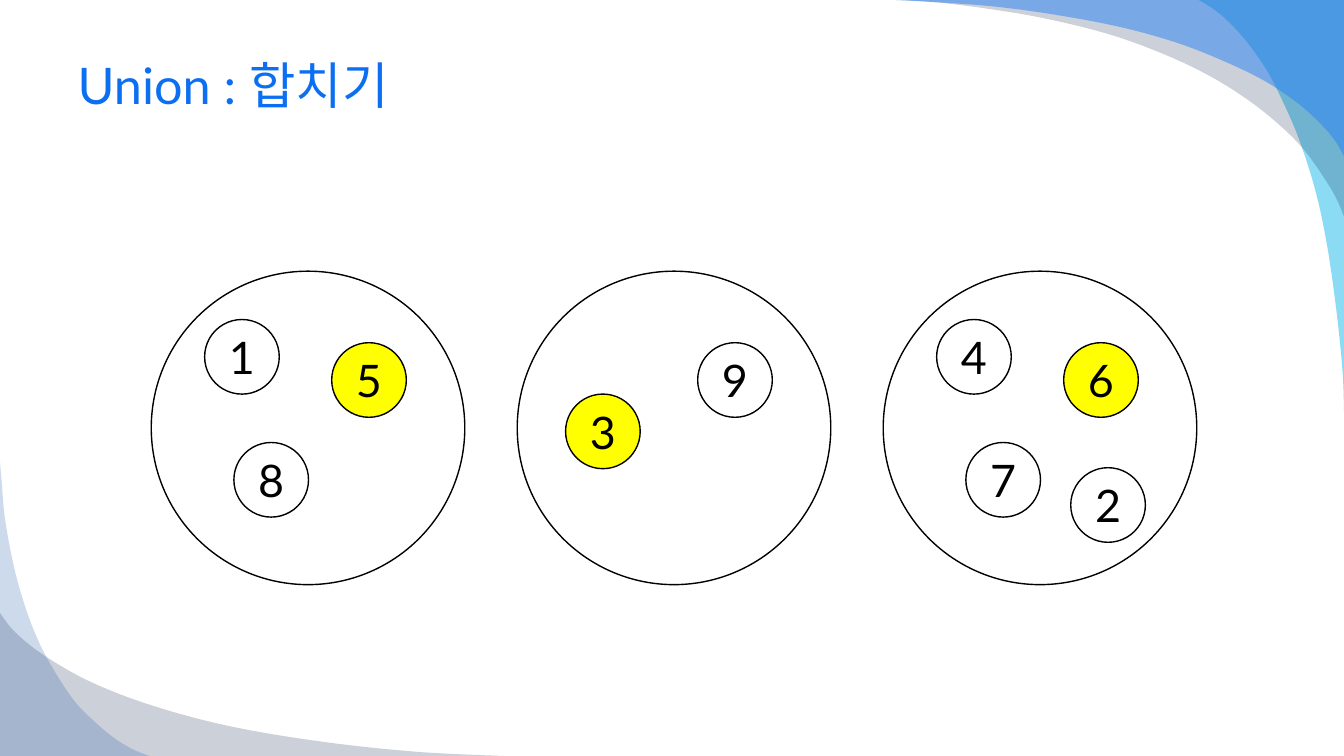
from lxml import etree
from pptx import Presentation
from pptx.dml.color import RGBColor
from pptx.enum import shapes, text
from pptx.oxml import ns
from pptx.util import Inches, Pt

TITLE = "Union : 합치기"
SLOTS = {
    "upper left": (0.53, 0.48),
    "upper right": (1.79, 0.71),
    "middle left": (0.48, 1.22),
    "lower left": (0.82, 1.70),
    "lower right": (1.86, 1.95),
}
SETS = [
    {"root": "5", "members": {"1": "upper left", "5": "upper right", "8": "lower left"}},
    {"root": "3", "members": {"9": "upper right", "3": "middle left"}},
    {"root": "6", "members": {"4": "upper left", "6": "upper right",
                              "7": "lower left", "2": "lower right"}},
]
THEME = {
    "font": "Lato", "title_size": 36, "node_size": 32, "line_width": 1,
    "title": "0C6FF2", "ink": "000000", "plain": "FFFFFF", "root": "FFFF00",
    "cyan": "00B1E9", "navy": "021741", "blue": "247FF4", "deep": "084AA1",
}
SWOOSHES = [
    {"color": "cyan", "opacity": 45, "corner": (13.33, 0),
     "curve": [(11.89, 0), (12.05, 0.1), (12.2, 0.23), (12.37, 0.42), (12.56, 0.69),
               (12.72, 1), (12.88, 1.37), (13.03, 1.83), (13.13, 2.26), (13.21, 2.74),
               (13.28, 3.3), (13.32, 3.75), (13.33, 4.08)]},
    {"color": "navy", "opacity": 20, "corner": (13.33, 0),
     "curve": [(13.33, 2.15), (13.25, 1.96), (13.11, 1.73), (12.92, 1.47), (12.69, 1.24),
               (12.39, 1), (12.01, 0.76), (11.55, 0.54), (11, 0.34), (10.35, 0.18),
               (9.75, 0.08), (9.25, 0.02), (8.89, 0)]},
    {"color": "blue", "opacity": 49, "corner": (13.33, 0),
     "curve": [(13.33, 1.55), (13.23, 1.38), (13.06, 1.19), (12.84, 1), (12.52, 0.79),
               (12.1, 0.59), (11.66, 0.42), (11.12, 0.27), (10.49, 0.15), (9.91, 0.07),
               (9.42, 0.03), (8.89, 0)]},
    {"color": "navy", "opacity": 20, "corner": (0, 7.5),
     "curve": [(0, 6.08), (0.12, 6.24), (0.31, 6.41), (0.56, 6.58), (0.91, 6.77),
               (1.39, 6.96), (2, 7.14), (2.62, 7.27), (3.36, 7.38), (4.03, 7.45),
               (4.5, 7.48), (5, 7.5)]},
    {"color": "deep", "opacity": 20, "corner": (0, 7.5),
     "curve": [(1.48, 7.5), (1.31, 7.43), (1.13, 7.32), (0.95, 7.17), (0.75, 6.97),
               (0.56, 6.69), (0.4, 6.4), (0.26, 6.05), (0.14, 5.63), (0.05, 5.15),
               (0.02, 4.82), (0, 4.58)]},
]
SET_LEFT, SET_TOP, SET_STEP, SET_SIZE, NODE_SIZE = 1.5, 2.69, 3.63, 3.11, 0.74
CURVE_STEPS = 5


def color(name):
    """Return the theme colour with this name."""
    return RGBColor.from_string(THEME[name])


def smooth(points):
    """Return closely spaced points on a spline through the given points."""
    padded = [points[0], *points, points[-1]]
    result = []
    for a, b, c, d in zip(padded, padded[1:], padded[2:], padded[3:]):
        for step in range(CURVE_STEPS):
            t = step / CURVE_STEPS
            result.append(tuple(
                q + t / 2 * (r - p + t * (2 * p - 5 * q + 4 * r - s
                                          + t * (3 * (q - r) + s - p)))
                for p, q, r, s in zip(a, b, c, d)))
    return result + [points[-1]]


def add_swoosh(slide, swoosh):
    """Draw one translucent curved corner."""
    outline = [(Inches(x), Inches(y)) for x, y in smooth(swoosh["curve"]) + [swoosh["corner"]]]
    builder = slide.shapes.build_freeform(*outline[0])
    builder.add_line_segments(outline[1:], close=True)
    sp = builder.convert_to_shape()
    sp.shadow.inherit = False
    sp.fill.solid()
    sp.fill.fore_color.rgb = color(swoosh["color"])
    sp.line.fill.background()
    rgb = sp.fill._xPr.find(".//" + ns.qn("a:srgbClr"))
    etree.SubElement(rgb, ns.qn("a:alpha"), val=str(swoosh["opacity"] * 1000))


def add_circle(slide, left, top, size, fill):
    """Draw an outlined circle."""
    sp = slide.shapes.add_shape(shapes.MSO_SHAPE.OVAL, Inches(left), Inches(top),
                                Inches(size), Inches(size))
    sp.shadow.inherit = False
    sp.fill.solid()
    sp.fill.fore_color.rgb = color(fill)
    sp.line.color.rgb = color("ink")
    sp.line.width = Pt(THEME["line_width"])
    return sp


def write(tf, words, size, ink, align):
    """Write one formatted paragraph, centred vertically."""
    tf.vertical_anchor = text.MSO_ANCHOR.MIDDLE
    p = tf.paragraphs[0]
    p.text = words
    p.alignment = align
    p.font.name = THEME["font"]
    p.font.size = Pt(THEME[size])
    p.font.color.rgb = color(ink)


def main():
    """Build the slide of disjoint sets."""
    prs = Presentation()
    prs.slide_width, prs.slide_height = Inches(13.33), Inches(7.5)
    slide = prs.slides.add_slide(prs.slide_layouts[5])
    for swoosh in SWOOSHES:
        add_swoosh(slide, swoosh)

    title = slide.shapes.title
    title.left, title.top, title.width, title.height = map(Inches, (0.67, 0.33, 12, 1.01))
    write(title.text_frame, TITLE, "title_size", "title", text.PP_ALIGN.LEFT)

    for i, group in enumerate(SETS):
        left = SET_LEFT + i * SET_STEP
        add_circle(slide, left, SET_TOP, SET_SIZE, "plain")
        for label, slot in group["members"].items():
            dx, dy = SLOTS[slot]
            fill = "root" if label == group["root"] else "plain"
            sp = add_circle(slide, left + dx, SET_TOP + dy, NODE_SIZE, fill)
            write(sp.text_frame, label, "node_size", "ink", text.PP_ALIGN.CENTER)

    prs.save("out.pptx")


if __name__ == "__main__":
    main()
